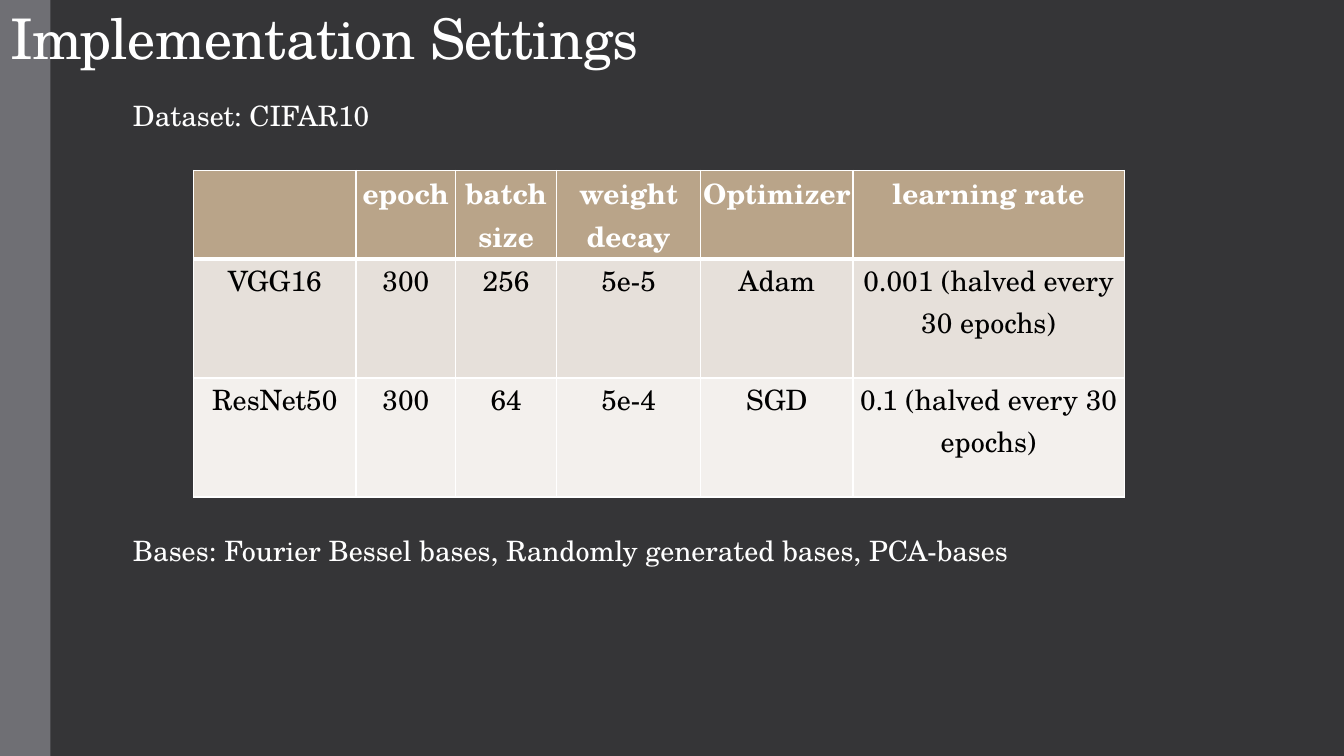
import pptx
import pptx.dml.color
import pptx.enum.shapes
import pptx.enum.text
import pptx.oxml
import pptx.oxml.ns
import pptx.util

Inches = pptx.util.Inches
Pt = pptx.util.Pt
RGBColor = pptx.dml.color.RGBColor

# Content
TITLE = "Implementation Settings"
NOTES = [
    ("Dataset: CIFAR10", 0.93, 4.39),
    ("Bases: Fourier Bessel bases, Randomly generated bases, PCA-bases", 5.24, 9.55),
]
SETTINGS = [
    ("", "epoch", "batch size", "weight decay", "Optimizer", "learning rate"),
    ("VGG16", "300", "256", "5e-5", "Adam", "0.001 (halved every 30 epochs)"),
    ("ResNet50", "300", "64", "5e-4", "SGD", "0.1 (halved every 30 epochs)"),
]
COLUMN_WIDTHS = [1.61, 0.99, 1, 1.43, 1.51, 2.69]
ROW_HEIGHTS = [0.81, 1.18, 1.18]

# Style
FONT = "TeX Gyre Schola"
WHITE = RGBColor(0xFF, 0xFF, 0xFF)
BLACK = RGBColor(0x00, 0x00, 0x00)
BACKGROUND = RGBColor(0x35, 0x35, 0x37)
SIDEBAR = RGBColor(0x6F, 0x6F, 0x74)
ROW_FILLS = [
    RGBColor(0xB9, 0xA4, 0x89),
    RGBColor(0xE6, 0xE0, 0xDA),
    RGBColor(0xF3, 0xF0, 0xED),
]


def add_text(paragraph, text, size=20, color=WHITE, bold=False):
    run = paragraph.add_run()
    run.text = text
    run.font.name = FONT
    run.font.size = Pt(size)
    run.font.color.rgb = color
    run.font.bold = bold
    return run


def set_borders(cell, widths):
    """Draw white borders; widths are points for left, right, top, bottom."""
    properties = cell._tc.get_or_add_tcPr()
    for position, (side, width) in enumerate(zip("LRTB", widths)):
        border = pptx.oxml.parse_xml(
            f'<a:ln{side} {pptx.oxml.ns.nsdecls("a")} w="{Pt(width)}">'
            f'<a:solidFill><a:srgbClr val="{WHITE}"/></a:solidFill></a:ln{side}>'
        )
        properties.insert(position, border)


presentation = pptx.Presentation()
presentation.slide_width = Inches(13.33)
presentation.slide_height = Inches(7.5)
slide = presentation.slides.add_slide(presentation.slide_layouts[5])
slide.background.fill.solid()
slide.background.fill.fore_color.rgb = BACKGROUND

# Sidebar, placed behind the title
sidebar = slide.shapes.add_shape(
    pptx.enum.shapes.MSO_SHAPE.RECTANGLE, 0, 0, Inches(0.5), presentation.slide_height
)
sidebar.shadow.inherit = False
sidebar.fill.solid()
sidebar.fill.fore_color.rgb = SIDEBAR
sidebar.line.fill.background()
title = slide.shapes.title
title._element.addprevious(sidebar._element)

# Title
title.left, title.top = 0, 0
title.width, title.height = Inches(9.93), Inches(0.75)
title.text_frame.vertical_anchor = pptx.enum.text.MSO_ANCHOR.BOTTOM
title.text_frame.auto_size = pptx.enum.text.MSO_AUTO_SIZE.NONE
title_paragraph = title.text_frame.paragraphs[0]
title_paragraph.alignment = pptx.enum.text.PP_ALIGN.LEFT
title_paragraph.line_spacing = 0.85
title_run = add_text(title_paragraph, TITLE, size=40)
title_run.font._element.set("spc", "-50")

# Settings table
table = slide.shapes.add_table(
    len(SETTINGS), len(COLUMN_WIDTHS), Inches(1.92), Inches(1.69),
    Inches(sum(COLUMN_WIDTHS)), Inches(sum(ROW_HEIGHTS)),
).table
for column, width in zip(table.columns, COLUMN_WIDTHS):
    column.width = Inches(width)
for row_index, values in enumerate(SETTINGS):
    is_header = row_index == 0
    table.rows[row_index].height = Inches(ROW_HEIGHTS[row_index])
    top_width = 3 if row_index == 1 else 1
    bottom_width = 3 if is_header else 1
    for column_index, value in enumerate(values):
        cell = table.cell(row_index, column_index)
        cell.fill.solid()
        cell.fill.fore_color.rgb = ROW_FILLS[row_index]
        cell.margin_left = cell.margin_right = Inches(0.02)
        cell.margin_top = cell.margin_bottom = Inches(0.01)
        set_borders(cell, (1, 1, top_width, bottom_width))
        if value:
            paragraph = cell.text_frame.paragraphs[0]
            paragraph.alignment = pptx.enum.text.PP_ALIGN.CENTER
            add_text(paragraph, value, color=WHITE if is_header else BLACK, bold=is_header)

# Notes above and below the table
for text, top, width in NOTES:
    note = slide.shapes.add_textbox(Inches(1.22), Inches(top), Inches(width), Inches(0.44))
    note.text_frame.word_wrap = True
    note.text_frame.auto_size = pptx.enum.text.MSO_AUTO_SIZE.SHAPE_TO_FIT_TEXT
    add_text(note.text_frame.paragraphs[0], text)

presentation.save("out.pptx")
